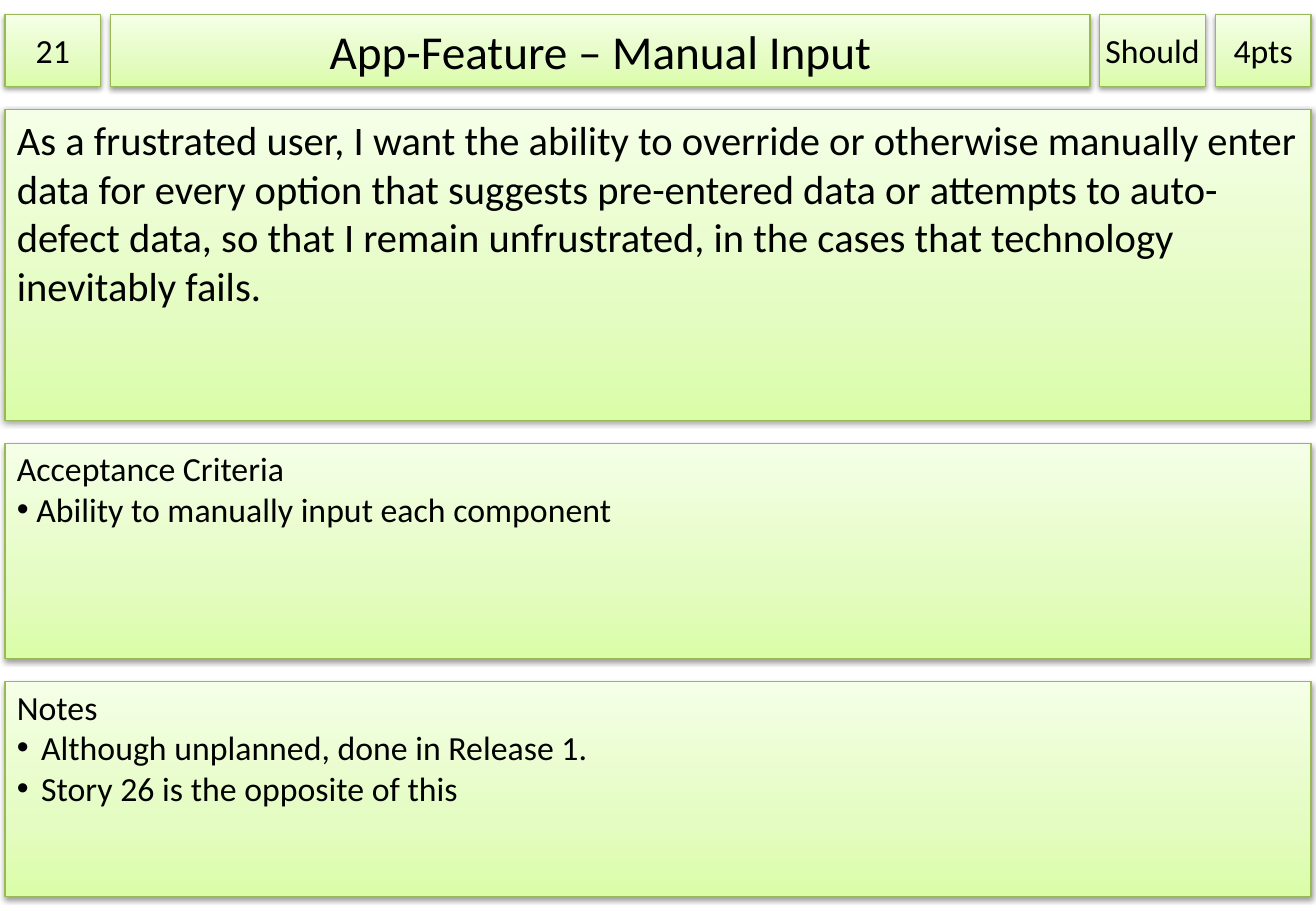
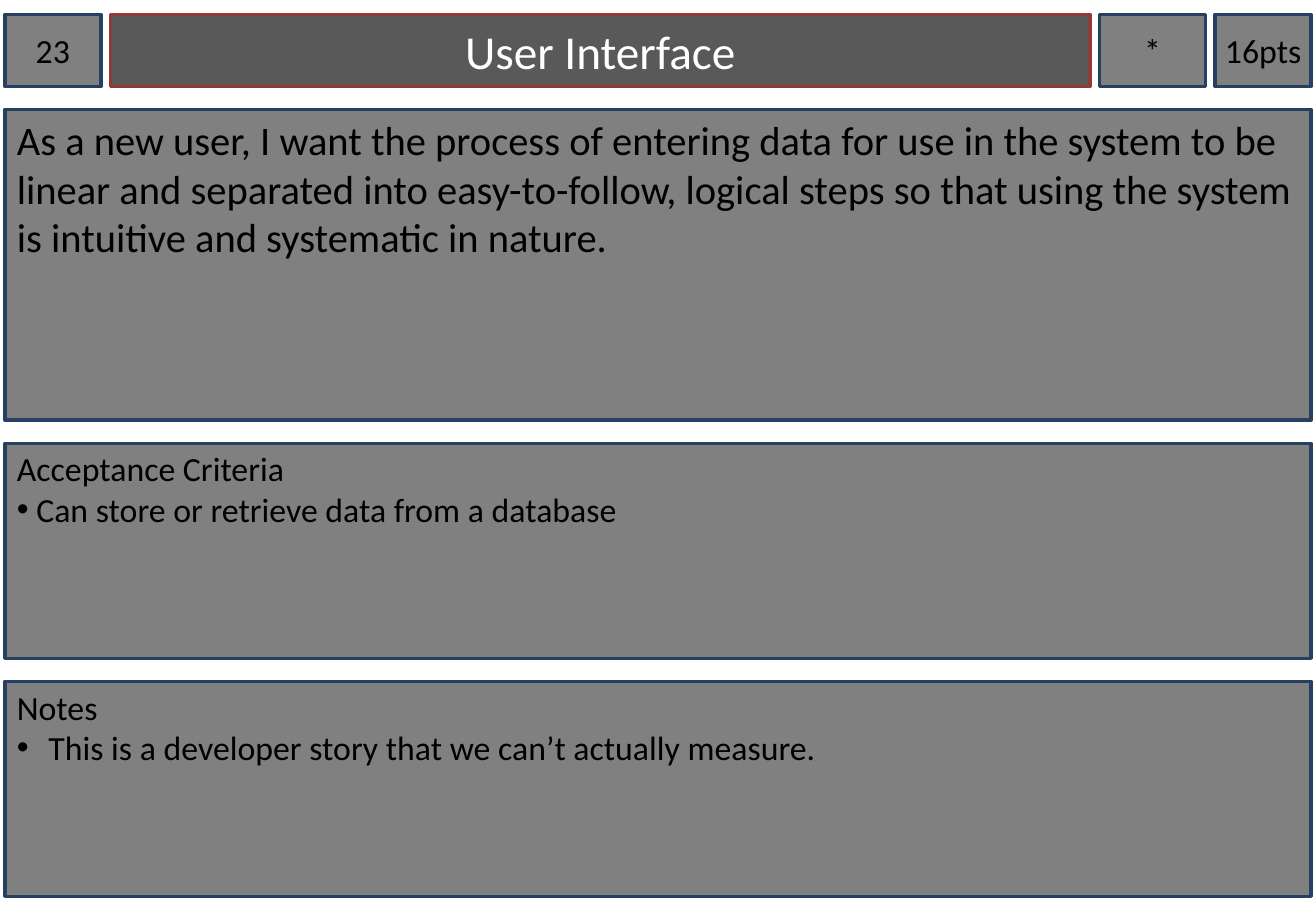
"""Build two user story cards that share one grid of boxes."""
import copy

from pptx import Presentation
from pptx import util as u
from pptx.dml.color import RGBColor
from pptx.enum import shapes, text
from pptx.oxml import parse_xml
from pptx.oxml.ns import nsdecls, qn

COLOURS = {"black": "000000", "white": "FFFFFF", "lime line": "98B955",
           "lime deep": "DAFDA7", "lime middle": "E4FCC2", "lime pale": "F5FFE7",
           "grey": "808080", "dark grey": "595959", "navy": "254061", "red": "8E3B39"}
GREEN_STOPS = [(0, "lime deep"), (0.35, "lime middle"), (1, "lime pale")]
GREEN = {"fill": GREEN_STOPS, "line": "lime line", "width": 0.75, "font": "black"}
GREY = {"fill": "grey", "line": "navy", "width": 2, "font": "black"}
DARK = {"fill": "dark grey", "line": "red", "width": 2, "font": "white"}
SHADOW = (f'<a:outerShdw {nsdecls("a")} blurRad="40000" dist="20000" dir="5400000" '
          'rotWithShape="0"><a:srgbClr val="000000"><a:alpha val="38000"/>'
          '</a:srgbClr></a:outerShdw>')

WIDTH, HEIGHT = 10.83, 7.5
MARGIN, TOP, COLUMN_GAP, ROW_GAP = 0.04, 0.12, 0.08, 0.19
FULL = WIDTH - 2 * MARGIN
SIDE, PRIORITY = 0.79, 0.87
COLUMNS = [SIDE, FULL - 2 * SIDE - PRIORITY - 3 * COLUMN_GAP, PRIORITY, SIDE]
ROWS = [0.59, 2.56, 1.77, 1.77]
LEFTS = [MARGIN + sum(COLUMNS[:i]) + i * COLUMN_GAP for i in range(len(COLUMNS))]
TOPS = [TOP + sum(ROWS[:i]) + i * ROW_GAP for i in range(len(ROWS))]

CARDS = [
    {"style": GREEN, "title style": GREEN, "title": "App-Feature – Manual Input",
     "labels": ["21", "Should", "4pts"],
     "story": "As a frustrated user, I want the ability to override or otherwise "
              "manually enter data for every option that suggests pre-entered data or "
              "attempts to auto-defect data, so that I remain unfrustrated, in the "
              "cases that technology inevitably fails.",
     "criteria": ["Ability to manually input each component"],
     "notes": ["Although unplanned, done in Release 1.",
               "Story 26 is the opposite of this"], "note indent": 0.2},
    {"style": GREY, "title style": DARK, "title": "User Interface",
     "labels": ["23", "*", "16pts"],
     "story": "As a new user, I want the process of entering data for use in the "
              "system to be linear and separated into easy-to-follow, logical steps so "
              "that using the system is intuitive and systematic in nature.",
     "criteria": ["Can store or retrieve data from a database"],
     "notes": ["This is a developer story that we can’t actually measure."],
     "note indent": 0.26},
]


def colour(name):
    """Return the named colour."""
    return RGBColor.from_string(COLOURS[name])


def format_box(shape, style, lines, size, centred=False, insets=(0.1, 0.05), indent=0):
    """Paint a box and write its lines, with bullets after the first."""
    if isinstance(style["fill"], list):
        shape.fill.gradient()
        shape.fill.gradient_angle = 90
        stop_list = shape._element.spPr.find(qn("a:gradFill")).find(qn("a:gsLst"))
        stop_list.append(copy.deepcopy(stop_list[0]))
        for stop, (position, name) in zip(shape.fill.gradient_stops, style["fill"]):
            stop.position = position
            stop.color.rgb = colour(name)
    else:
        shape.fill.solid()
        shape.fill.fore_color.rgb = colour(style["fill"])
    shape.line.color.rgb = colour(style["line"])
    shape.line.width = u.Pt(style["width"])
    shape.shadow.inherit = False
    if style is GREEN:
        shape._element.spPr.find(qn("a:effectLst")).append(parse_xml(SHADOW))

    frame = shape.text_frame
    frame.auto_size = text.MSO_AUTO_SIZE.NONE
    frame.word_wrap = insets[0] > 0
    frame.margin_left = frame.margin_right = u.Inches(insets[0])
    frame.margin_top, frame.margin_bottom = u.Inches(insets[1]), u.Inches(0.05)
    frame.vertical_anchor = text.MSO_ANCHOR.MIDDLE if centred else text.MSO_ANCHOR.TOP
    for index, line in enumerate(lines):
        paragraph = frame.add_paragraph() if index else frame.paragraphs[0]
        paragraph.alignment = text.PP_ALIGN.CENTER if centred else text.PP_ALIGN.LEFT
        if index:
            properties = paragraph._p.get_or_add_pPr()
            properties.set("marL", str(u.Inches(indent)))
            properties.set("indent", str(-u.Inches(indent)))
            for bullet in ('buFont %s typeface="Arial"', 'buChar %s char="•"'):
                properties.append(parse_xml(f'<a:{bullet % nsdecls("a")}/>'))
        run = paragraph.add_run()
        run.text = line
        run.font.name = "Calibri"
        run.font.size = u.Pt(size)
        run.font.color.rgb = colour(style["font"])


presentation = Presentation()
presentation.slide_width = u.Inches(WIDTH)
presentation.slide_height = u.Inches(HEIGHT)

for card in CARDS:
    slide = presentation.slides.add_slide(presentation.slide_layouts[5])
    title = slide.shapes.title
    title.left, title.top = u.Inches(LEFTS[1]), u.Inches(TOPS[0])
    title.width, title.height = u.Inches(COLUMNS[1]), u.Inches(ROWS[0])
    format_box(title, card["title style"], [card["title"]], 28, centred=True)

    for column, label in zip((0, 2, 3), card["labels"]):
        box = slide.shapes.add_shape(
            shapes.MSO_SHAPE.RECTANGLE, u.Inches(LEFTS[column]), u.Inches(TOPS[0]),
            u.Inches(COLUMNS[column]), u.Inches(ROWS[0]))
        format_box(box, card["style"], [label], 20, centred=True, insets=(0, 0.05))

    panels = [([card["story"]], 24, 0.05, 0),
              (["Acceptance Criteria", *card["criteria"]], 20, 0.04, 0.16),
              (["Notes", *card["notes"]], 20, 0.04, card["note indent"])]
    for row, (lines, size, inset, indent) in enumerate(panels, start=1):
        panel = slide.shapes.add_shape(
            shapes.MSO_SHAPE.RECTANGLE, u.Inches(MARGIN), u.Inches(TOPS[row]),
            u.Inches(FULL), u.Inches(ROWS[row]))
        format_box(panel, card["style"], lines, size, insets=(0.1, inset), indent=indent)

presentation.save("out.pptx")
